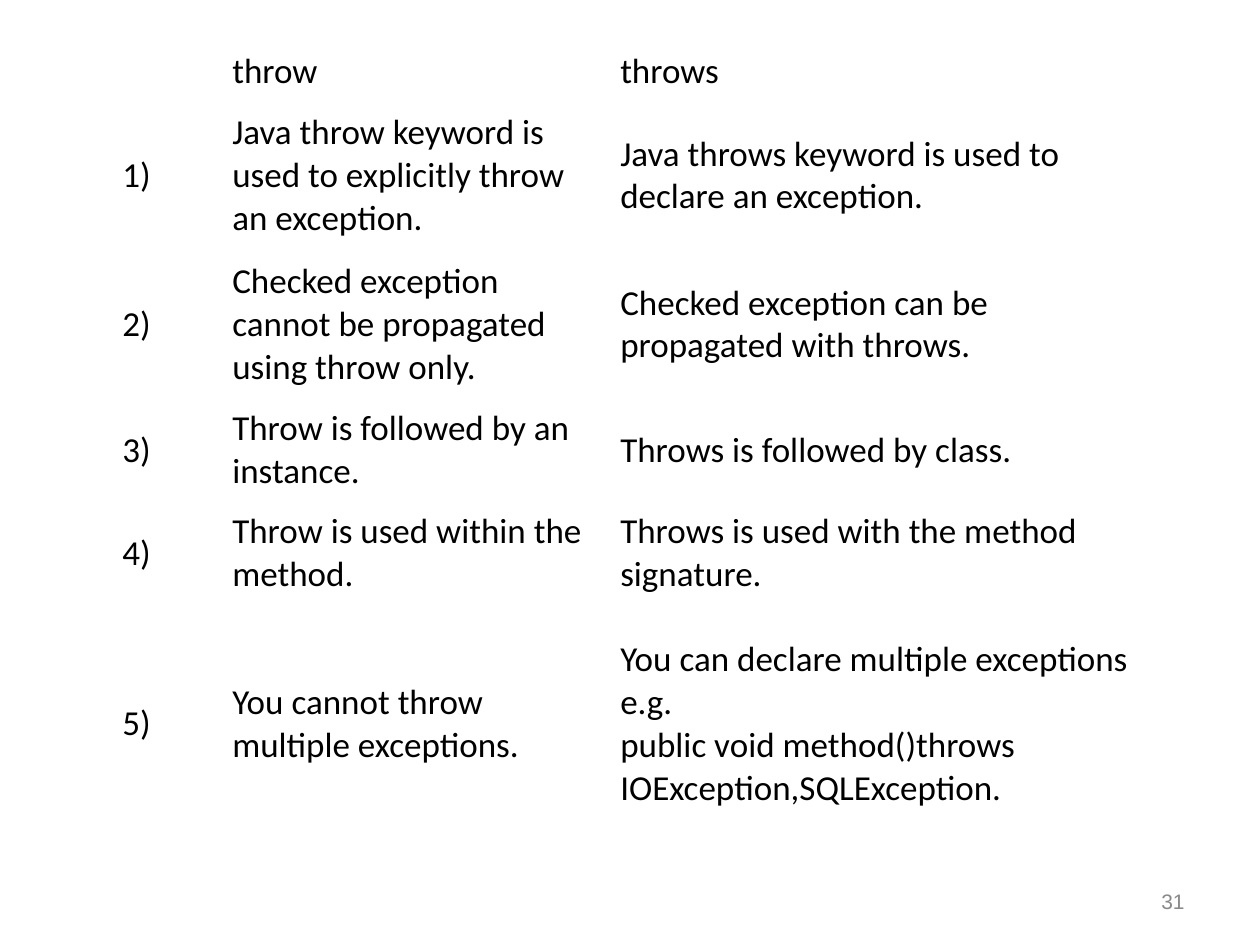
import pptx
import pptx.util
import pptx.dml.color
import pptx.enum.text

PX = 914400 // 126
COLORS = {"ink": "000000", "gray": "898989"}
COLS = [110, 388, 541]
HEIGHTS = [59, 149, 149, 103, 103, 238]
HEAD = ["", "throw", "throws"]
PAIRS = [
    ("Java throw keyword is used to explicitly throw an exception.",
     "Java throws keyword is used to declare an exception."),
    ("Checked exception cannot be propagated using throw only.",
     "Checked exception can be propagated with throws."),
    ("Throw is followed by an instance.", "Throws is followed by class."),
    ("Throw is used within the method.",
     "Throws is used with the method signature."),
    ("You cannot throw multiple exceptions.",
     "You can declare multiple exceptions e.g.\n"
     "public void method()throws IOException,SQLException."),
]


def px(num):
    return pptx.util.Emu(num * PX)


def write(frame, text, size=20, face="Calibri", color="ink", align="LEFT"):
    para = frame.paragraphs[0]
    para.text = text
    para.alignment = getattr(pptx.enum.text.PP_ALIGN, align)
    for run in para.runs:
        run.font.size = pptx.util.Pt(size)
        run.font.name = face
        run.font.color.rgb = pptx.dml.color.RGBColor.from_string(COLORS[color])


def add_grid(slide, rows, left, top):
    grid = slide.shapes.add_table(
        len(rows), len(COLS), px(left), px(top),
        px(sum(COLS)), px(sum(HEIGHTS))).table
    grid.first_row = False
    grid.horz_banding = False
    for col, width in zip(grid.columns, COLS):
        col.width = px(width)
    for row, height, texts in zip(grid.rows, HEIGHTS, rows):
        row.height = px(height)
        for cell, text in zip(row.cells, texts):
            cell.fill.background()
            cell.vertical_anchor = pptx.enum.text.MSO_ANCHOR.MIDDLE
            cell.margin_left = cell.margin_right = pptx.util.Inches(0.09)
            write(cell.text_frame, text)


def add_label(slide, text, left, top, width, height, **style):
    frame = slide.shapes.add_textbox(
        px(left), px(top), px(width), px(height)).text_frame
    frame.word_wrap = True
    frame.vertical_anchor = pptx.enum.text.MSO_ANCHOR.MIDDLE
    write(frame, text, **style)


def main():
    deck = pptx.Presentation()
    deck.slide_width, deck.slide_height = px(1260), px(945)
    slide = deck.slides.add_slide(deck.slide_layouts[6])

    # Comparison table, with numbered rows
    rows = [HEAD] + [[f"{num})", *pair] for num, pair in enumerate(PAIRS, 1)]
    add_grid(slide, rows, 111, 42)

    # Slide number
    add_label(slide, "31", 903, 876, 294, 50,
              size=12, face="Arial", color="gray", align="RIGHT")
    deck.save("out.pptx")


if __name__ == "__main__":
    main()
